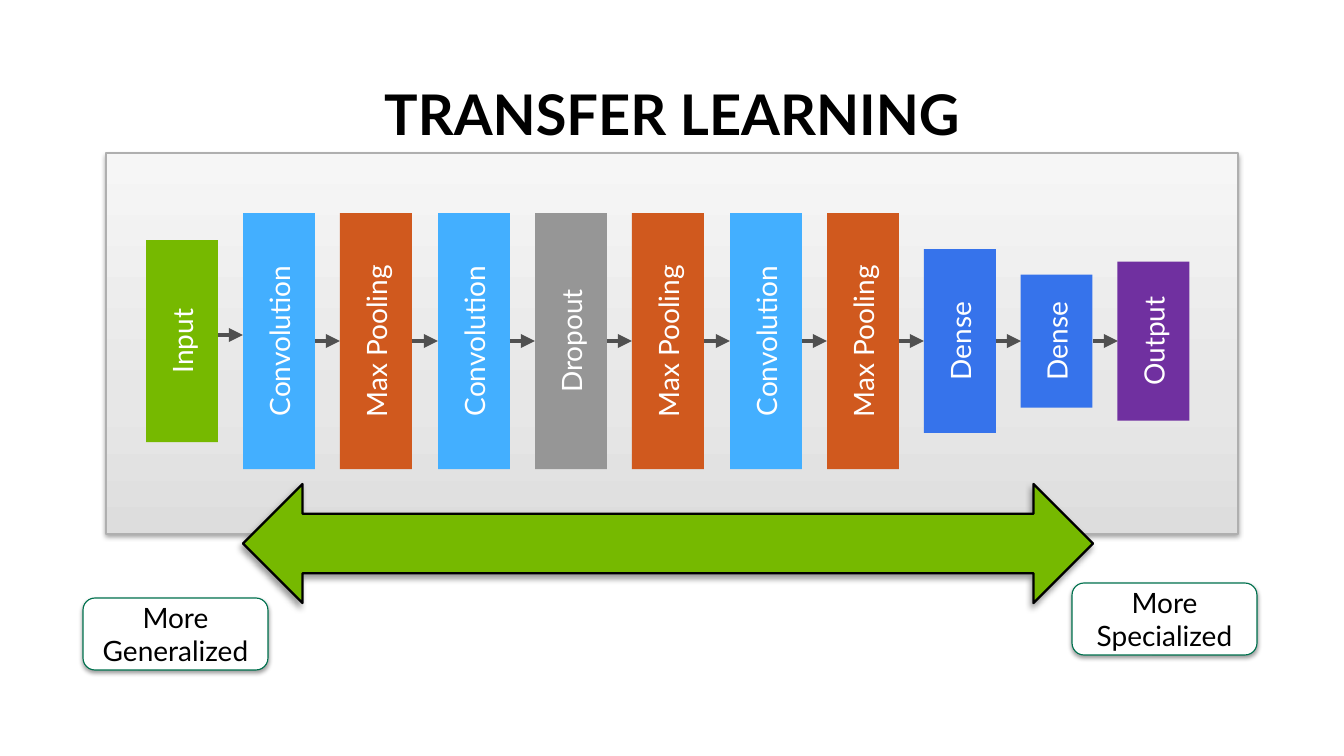
"""Build the transfer learning slide: a row of network layers and a generality scale."""
import copy

import lxml.etree
import pptx
import pptx.dml.color
import pptx.enum.shapes
import pptx.enum.text
import pptx.oxml
import pptx.oxml.ns
import pptx.util

PX = 914400 // 112
SHAPE = pptx.enum.shapes.MSO_SHAPE
ANCHOR = pptx.enum.text.MSO_ANCHOR
COLORS = {
    "black": "000000", "white": "FFFFFF", "link": "505050", "edge": "AFAFAF",
    "low": "DDDDDD", "mid": "E7E7E7", "high": "F6F6F6", "caption": "00714E",
    "green": "76B900", "sky": "43AFFF", "rust": "D0591E", "gray": "969696",
    "blue": "3673EB", "purple": "7030A0",
}
TITLE_FONT = {"name": "Lato", "size": pptx.util.Pt(36), "bold": True}
LABEL_FONT = {"name": "Lato", "size": pptx.util.Pt(18), "bold": False}
SOFT_SHADOW = {"blur": 3.1, "dist": 1.6, "angle": 90, "alpha": 38}
DEEP_SHADOW = {"blur": 4, "dist": 3, "angle": 135, "alpha": 40}
LAYERS = [
    ("Input", "green", 202), ("Convolution", "sky", 256),
    ("Max Pooling", "rust", 256), ("Convolution", "sky", 256),
    ("Dropout", "gray", 256), ("Max Pooling", "rust", 256),
    ("Convolution", "sky", 256), ("Max Pooling", "rust", 256),
    ("Dense", "blue", 184), ("Dense", "blue", 133), ("Output", "purple", 159),
]
ROW_LEFT, PITCH, THICKNESS, MIDDLE = 146, 97.25, 72, 341
INPUT_LINK_Y = 335


def rgb(color):
    """Return the named colour."""
    return pptx.dml.color.RGBColor.from_string(COLORS[color])


def emu(*lengths):
    """Scale px lengths to EMU."""
    return [length * PX for length in lengths]


class Deck:
    """Holds the style and the current slide."""

    def __init__(self, width, height):
        """Start a one-slide presentation with a title."""
        self.show = pptx.Presentation()
        self.show.slide_width, self.show.slide_height = emu(width, height)
        self.slide = self.show.slides.add_slide(self.show.slide_layouts[5])

    def label(self, frame, text, color, font, anchor=ANCHOR.MIDDLE):
        """Put one centred paragraph into a text frame."""
        frame.text = text
        frame.word_wrap = True
        frame.vertical_anchor = anchor
        paragraph = frame.paragraphs[0]
        paragraph.alignment = pptx.enum.text.PP_ALIGN.CENTER
        for key, value in font.items():
            setattr(paragraph.runs[0].font, key, value)
        paragraph.runs[0].font.color.rgb = rgb(color)
        return paragraph

    def title(self, text, *box):
        """Fill and place the title."""
        heading = self.slide.shapes.title
        heading.left, heading.top, heading.width, heading.height = emu(*box)
        paragraph = self.label(heading.text_frame, text, "black", TITLE_FONT, ANCHOR.BOTTOM)
        paragraph.line_spacing = 0.9
        heading.text_frame.auto_size = pptx.enum.text.MSO_AUTO_SIZE.NONE

    def block(self, kind, box, fill, edge=None, weight=0.75, shadow=None):
        """Add a filled preset shape with an optional outline and shadow."""
        block = self.slide.shapes.add_shape(kind, *emu(*box))
        block.shadow.inherit = False
        block.fill.solid()
        block.fill.fore_color.rgb = rgb(fill)
        if edge:
            block.line.color.rgb = rgb(edge)
            block.line.width = pptx.util.Pt(weight)
        else:
            block.line.fill.background()
        if shadow:
            effects = block._element.spPr.find(pptx.oxml.ns.qn("a:effectLst"))
            effects.append(pptx.oxml.parse_xml(
                f'<a:outerShdw {pptx.oxml.ns.nsdecls("a")} blurRad="{pptx.util.Pt(shadow["blur"])}"'
                f' dist="{pptx.util.Pt(shadow["dist"])}" dir="{shadow["angle"] * 60000}"'
                f' algn="ctr" rotWithShape="0"><a:srgbClr val="{COLORS["black"]}">'
                f'<a:alpha val="{shadow["alpha"] * 1000}"/></a:srgbClr></a:outerShdw>'))
        return block

    def panel(self, *box):
        """Add the shaded backdrop of the network."""
        panel = self.block(SHAPE.RECTANGLE, box, "low", "edge", shadow=SOFT_SHADOW)
        panel.fill.gradient()
        panel.fill.gradient_angle = 90
        stop_list = panel._element.spPr.find(".//" + pptx.oxml.ns.qn("a:gsLst"))
        stop_list.append(copy.deepcopy(stop_list[0]))
        shades = [(0, "low"), (0.35, "mid"), (1, "high")]
        for stop, (position, color) in zip(panel.fill.gradient_stops, shades):
            stop.position = position
            stop.color.rgb = rgb(color)

    def layer(self, text, color, length, left):
        """Add a network layer turned to read upwards."""
        box = (left + (THICKNESS - length) // 2, MIDDLE - THICKNESS // 2, length, THICKNESS)
        layer = self.block(SHAPE.RECTANGLE, box, color)
        layer.rotation = 270
        self.label(layer.text_frame, text, "white", LABEL_FONT)
        return layer

    def link(self, source, target, start, end, y, joined):
        """Add an arrow between two layers, joined to their turned sides."""
        link = self.slide.shapes.add_connector(
            pptx.enum.shapes.MSO_CONNECTOR.STRAIGHT, *emu(start, y, end, y))
        if joined:
            link.begin_connect(source, 2)
            link.end_connect(target, 0)
            link.begin_x, link.begin_y, link.end_x, link.end_y = emu(start, y, end, y)
        link.line.color.rgb = rgb("link")
        link.line.width = pptx.util.Pt(3)
        properties = link._element.spPr
        outline = properties.find(pptx.oxml.ns.qn("a:ln"))
        lxml.etree.SubElement(outline, pptx.oxml.ns.qn("a:tailEnd"), type="triangle")
        lxml.etree.SubElement(properties, pptx.oxml.ns.qn("a:effectLst"))

    def caption(self, text, *box):
        """Add a rounded caption at one end of the scale."""
        caption = self.block(SHAPE.ROUNDED_RECTANGLE, box, "white", "caption", shadow=SOFT_SHADOW)
        self.label(caption.text_frame, text, "black", LABEL_FONT)


def main():
    """Compose and save the slide."""
    deck = Deck(1344, 756)
    deck.title("TRANSFER LEARNING", 61, 80, 1222, 73)
    deck.panel(106, 153, 1132, 381)
    lefts = [ROW_LEFT + round(PITCH * index) for index in range(len(LAYERS))]
    layers = [deck.layer(*layer, left) for layer, left in zip(LAYERS, lefts)]
    for index in range(len(layers) - 1):
        joined = index > 0
        deck.link(layers[index], layers[index + 1], lefts[index] + THICKNESS,
                  lefts[index + 1], MIDDLE if joined else INPUT_LINK_Y, joined)
    deck.block(SHAPE.LEFT_RIGHT_ARROW, (243, 484, 850, 119), "green", "black", 1.5, DEEP_SHADOW)
    deck.caption("More Generalized", 83, 598, 185, 72)
    deck.caption("More Specialized", 1072, 583, 185, 72)
    deck.show.save("out.pptx")


if __name__ == "__main__":
    main()
